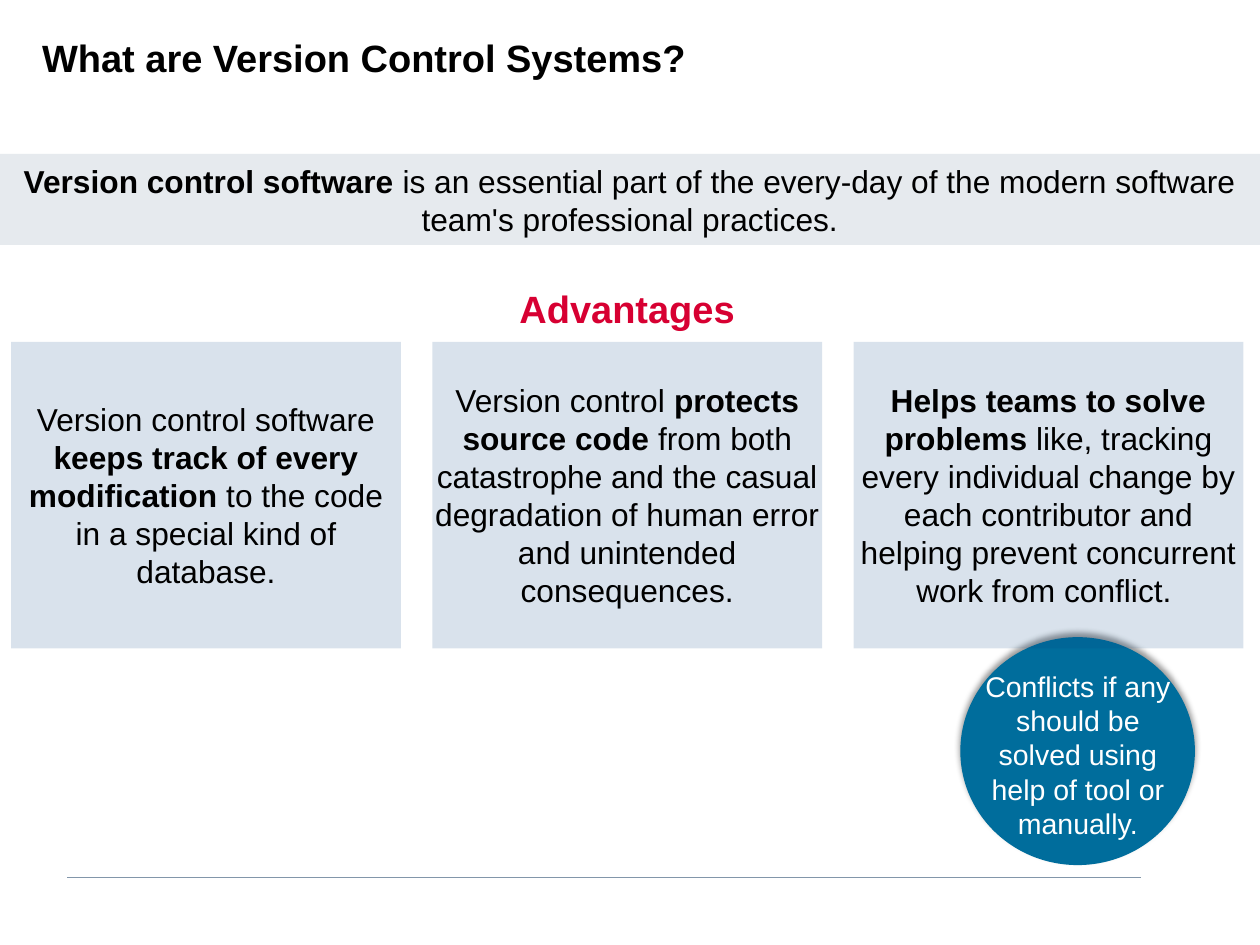
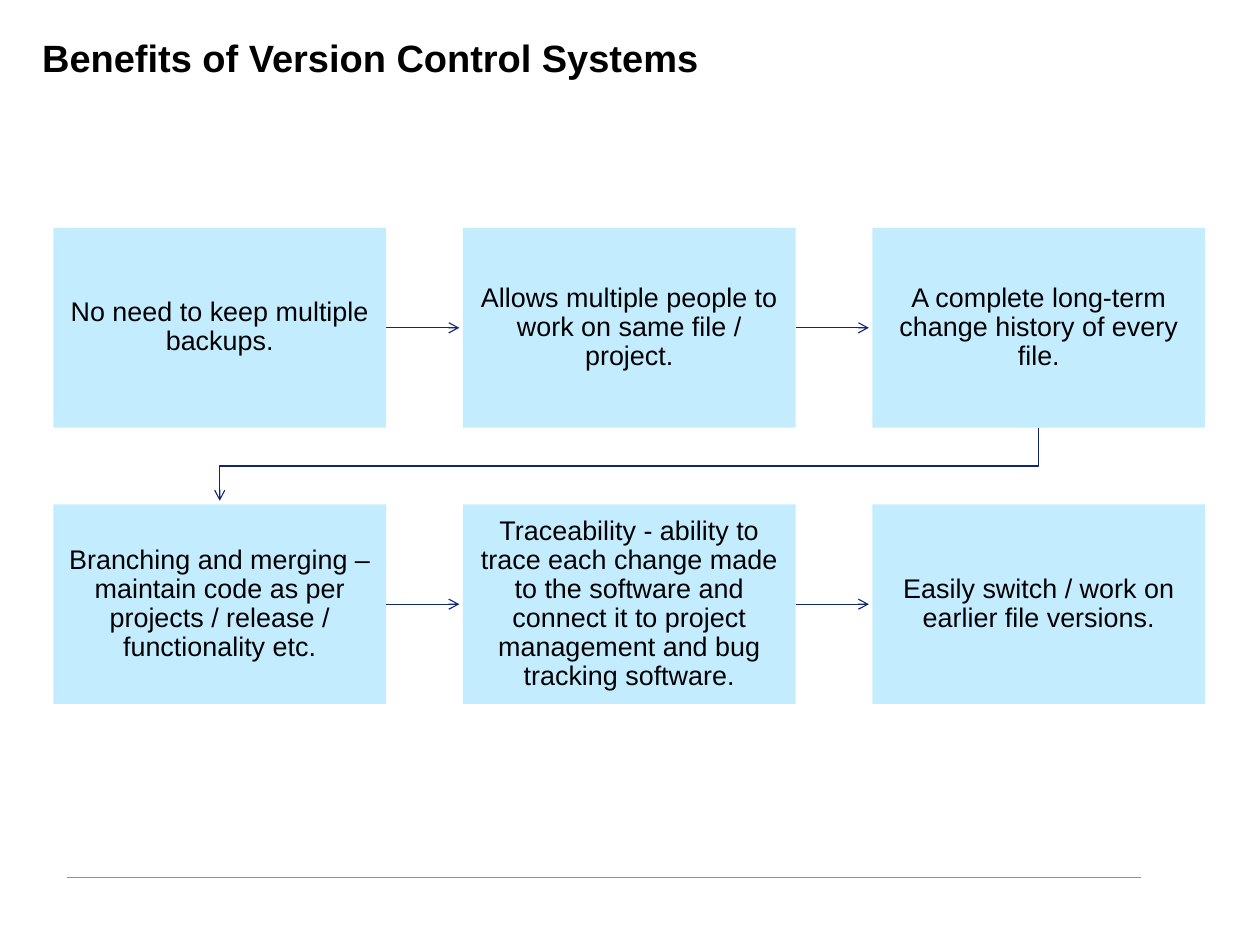
"""Build two slides about version control systems."""
import pptx
import pptx.dml.color
import pptx.enum.shapes
import pptx.enum.text
import pptx.oxml
import pptx.oxml.ns
import pptx.util
import lxml.etree

Cm = pptx.util.Cm
Shape = pptx.enum.shapes.MSO_SHAPE
Wire = pptx.enum.shapes.MSO_CONNECTOR
Align = pptx.enum.text.PP_ALIGN
Anchor = pptx.enum.text.MSO_ANCHOR
qn = pptx.oxml.ns.qn

HUES = {"ink": "000000", "white": "FFFFFF", "red": "D70032", "band": "E6EAEE",
        "card": "004080", "disc": "006D9C", "step": "C3EDFF",
        "arrow": "132671", "rule": "8296AA"}

SIZE = (28.09, 21.06)
TITLES = ["What are Version Control Systems?", "Benefits of Version Control Systems"]
INTRO = [("Version control software ", True),
         ("is an essential part of the every-day of the modern software "
          "team's professional practices.", False)]
HEAD = [("Advantages", True)]
CARDS = [
    [("Version control software ", False),
     ("keeps track of every modification", True),
     (" to the code in a special kind of database.", False)],
    [("Version control ", False),
     ("protects source code ", True),
     ("from both catastrophe and the casual degradation of human error "
      "and unintended consequences.", False)],
    [("Helps teams to solve problems ", True),
     ("like, tracking every individual change by each contributor and "
      "helping prevent concurrent work from conflict. ", False)],
]
NOTE = [("Conflicts if any should be solved using help of tool or manually.", False)]
STEPS = [
    "No need to keep multiple backups.",
    "Allows multiple people to work on same file / project.",
    "A complete long-term change history of every file.",
    "Branching and merging – maintain code as per projects / release / functionality etc.",
    "Traceability - ability to trace each change made to the software and "
    "connect it to project management and bug tracking software.",
    "Easily switch / work on earlier file versions.",
]

BODY = {"size": 20, "hue": "ink"}
TITLE = {"size": 24, "hue": "ink", "align": Align.LEFT, "pad": (0.1, 0.1)}
HEADING = {"size": 24, "hue": "red"}
CARD = {**BODY, "pad": (0.05, 0.05)}
LABEL = {"size": 18, "hue": "white", "pad": (0, 0.1), "anchor": Anchor.TOP, "gap": 3}
STEP = {"size": 17, "hue": "ink", "pad": (0.33, 0.33), "lead": 0.9}

CARD_GRID = {"left": 0.25, "top": 7.62, "wide": 8.69, "high": 6.83, "dx": 9.39, "dy": 0}
STEP_GRID = {"left": 1.19, "top": 5.08, "wide": 7.42, "high": 4.45, "dx": 9.13, "dy": 6.16}
COLS = 3
SHORT = 0.08


def color(name):
    return pptx.dml.color.RGBColor.from_string(HUES[name])


def cells(grid, count):
    for i in range(count):
        row, col = divmod(i, COLS)
        yield (grid["left"] + col * grid["dx"], grid["top"] + row * grid["dy"],
               grid["wide"], grid["high"])


def write(shape, runs, size, hue, align=Align.CENTER, anchor=Anchor.MIDDLE,
          pad=(0.25, 0.13), lead=None, gap=0):
    side, edge = map(Cm, pad)
    frame = shape.text_frame
    para = frame.paragraphs[0]
    space = pptx.util.Pt(gap)
    looks = [
        (frame, {"word_wrap": True, "vertical_anchor": anchor,
                 "margin_left": side, "margin_right": side,
                 "margin_top": edge, "margin_bottom": edge}),
        (para, {"alignment": align, "line_spacing": lead,
                "space_before": space, "space_after": space}),
    ]
    for text, bold in runs:
        run = para.add_run()
        run.text = text
        run.font.color.rgb = color(hue)
        looks.append((run.font, {"name": "Arial", "size": pptx.util.Pt(size), "bold": bold}))
    for part, look in looks:
        for key, value in look.items():
            setattr(part, key, value)


def label(slide, box, runs, look):
    write(slide.shapes.add_textbox(*map(Cm, box)), runs, **look)


def block(slide, box, hue, kind=Shape.RECTANGLE, alpha=None):
    shape = slide.shapes.add_shape(kind, *map(Cm, box))
    shape.shadow.inherit = False
    shape.fill.solid()
    shape.fill.fore_color.rgb = color(hue)
    shape.line.fill.background()
    if alpha:
        tint = shape._element.spPr.find(".//" + qn("a:srgbClr"))
        lxml.etree.SubElement(tint, qn("a:alpha"), val=str(alpha * 1000))
    return shape


def shade(shape):
    effects = shape._element.spPr.find(qn("a:effectLst"))
    cast = lxml.etree.SubElement(
        effects, qn("a:outerShdw"), blurRad=str(pptx.util.Pt(4)),
        dist=str(pptx.util.Pt(3)), dir=str(270 * 60000), rotWithShape="0")
    tint = lxml.etree.SubElement(cast, qn("a:srgbClr"), val=HUES["ink"])
    lxml.etree.SubElement(tint, qn("a:alpha"), val="40000")


def stroke(shape, hue, width, tip=False):
    shape.line.color.rgb = color(hue)
    shape.line.width = pptx.util.Pt(width)
    props = shape._element.spPr
    if tip:
        lxml.etree.SubElement(props.find(qn("a:ln")), qn("a:tailEnd"), type="arrow")
    if props.find(qn("a:effectLst")) is None:
        lxml.etree.SubElement(props, qn("a:effectLst"))


def wire(slide, start, end):
    return slide.shapes.add_connector(Wire.STRAIGHT, *map(Cm, start + end))


def page(deck, title):
    slide = deck.slides.add_slide(deck.slide_layouts[6])
    stroke(wire(slide, (1.5, 19.56), (25.43, 19.56)), "rule", 0.5)
    label(slide, (0.84, 0.66, 17.93, 1.24), [(title, True)], TITLE)
    return slide


def intro(slide):
    write(block(slide, (0, 3.43, SIZE[0], 2.03), "band"), INTRO, **BODY)
    shade(block(slide, (21.41, 14.2, 5.23, 5.08), "disc", Shape.OVAL))
    label(slide, (21.72, 14.81, 4.62, 3.33), NOTE, LABEL)
    for box, runs in zip(cells(CARD_GRID, len(CARDS)), CARDS):
        write(block(slide, box, "card", alpha=15), runs, **CARD)
    label(slide, (0.25, 6.22, 27.46, 1.3), HEAD, HEADING)


def turn(slide, last, first):
    x, y, wide, high = last
    goal = first[0] + wide / 2
    base, stop = y + high, first[1]
    mid = (base + stop) / 2
    start, *rest = [tuple(map(Cm, spot)) for spot in (
        (x + wide / 2, base), (x + wide / 2, mid), (goal, mid), (goal, stop - SHORT))]
    pen = slide.shapes.build_freeform(*start)
    pen.add_line_segments(rest, close=False)
    shape = pen.convert_to_shape()
    shape.shadow.inherit = False
    shape.fill.background()
    stroke(shape, "arrow", 0.75, tip=True)


def benefits(slide):
    boxes = list(cells(STEP_GRID, len(STEPS)))
    for i, (box, text) in enumerate(zip(boxes, STEPS)):
        shape = block(slide, box, "step")
        write(shape, [(text, False)], **STEP)
        if i + 1 == len(boxes):
            break
        goal = boxes[i + 1]
        if goal[1] > box[1]:
            turn(slide, box, goal)
            continue
        y = box[1] + box[3] / 2
        arrow = wire(slide, (box[0] + box[2], y), (goal[0] - SHORT, y))
        arrow.begin_connect(shape, 3)
        stroke(arrow, "arrow", 0.75, tip=True)


def main():
    deck = pptx.Presentation()
    deck.slide_width, deck.slide_height = map(Cm, SIZE)
    for title, fill in zip(TITLES, (intro, benefits)):
        fill(page(deck, title))
    deck.save("out.pptx")


if __name__ == "__main__":
    main()
